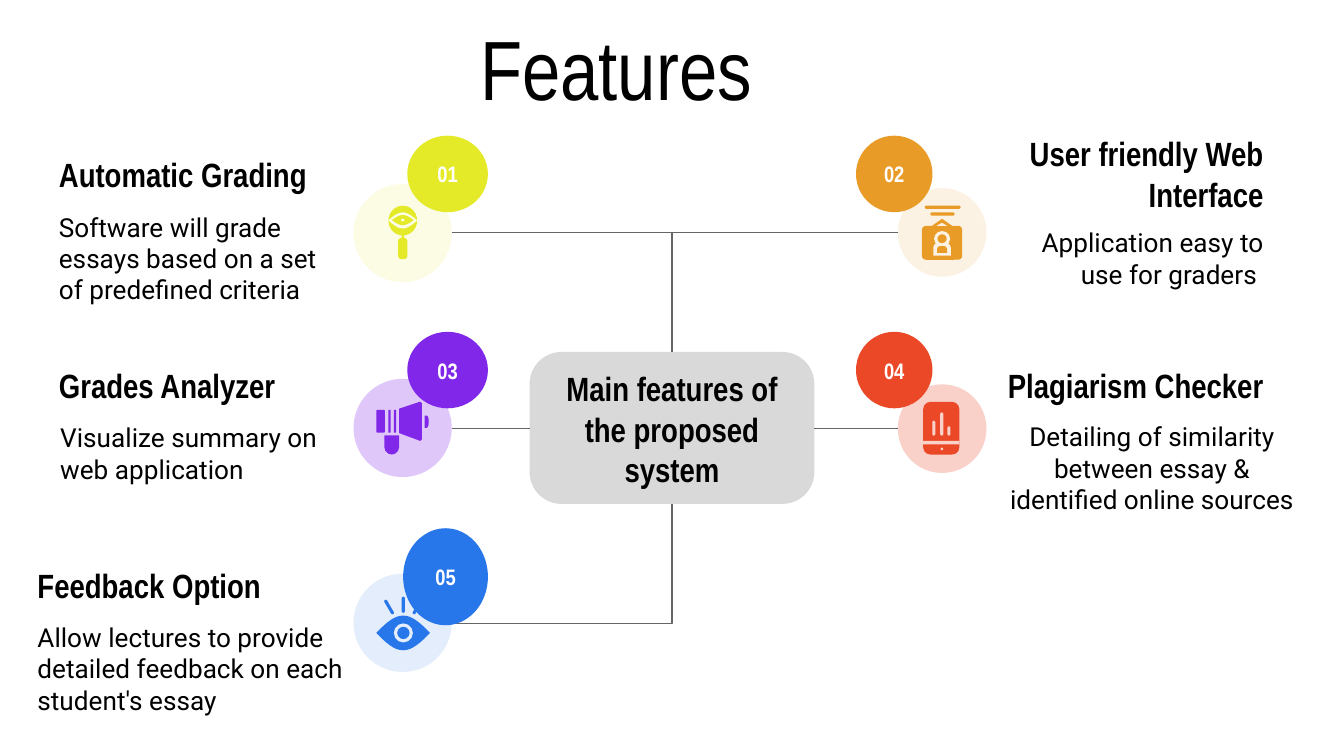
from dataclasses import dataclass
from math import pi, sin

from lxml.etree import SubElement
from pptx import Presentation
from pptx.dml.color import RGBColor
from pptx.enum.shapes import MSO_CONNECTOR, MSO_SHAPE
from pptx.enum.text import MSO_ANCHOR, MSO_AUTO_SIZE, PP_ALIGN
from pptx.oxml.ns import qn
from pptx.util import Pt

BLACK = RGBColor(0x00, 0x00, 0x00)
WHITE = RGBColor(0xFF, 0xFF, 0xFF)
GREY = RGBColor(0xD9, 0xD9, 0xD9)
RULE = RGBColor(0x66, 0x66, 0x66)
YELLOW = RGBColor(0xE4, 0xEA, 0x27)
ORANGE = RGBColor(0xE9, 0x9B, 0x27)
PURPLE = RGBColor(0x80, 0x27, 0xEA)
RED = RGBColor(0xEA, 0x48, 0x27)
BLUE = RGBColor(0x27, 0x76, 0xEA)

HEAD, BODY = "Arial Narrow", "Roboto"
LEFT, MID, RIGHT = PP_ALIGN.LEFT, PP_ALIGN.CENTER, PP_ALIGN.RIGHT
OVAL, RECT, ROUND = MSO_SHAPE.OVAL, MSO_SHAPE.RECTANGLE, MSO_SHAPE.ROUNDED_RECTANGLE
ARCH, PEAK = MSO_SHAPE.ROUND_2_SAME_RECTANGLE, MSO_SHAPE.ISOSCELES_TRIANGLE
FLARE = MSO_SHAPE.FLOWCHART_DELAY
Box = tuple[float, float, float, float]


@dataclass
class Part:
    """One piece of an icon; a pale piece takes the tint of the disc."""
    kind: MSO_SHAPE | str
    box: Box
    pale: bool = False
    turn: float = 0
    curve: float | None = None


@dataclass
class Feature:
    num: str
    head: str
    body: str
    color: RGBColor
    alpha: float
    disc: Box
    badge: Box
    head_box: Box
    body_box: Box
    head_side: PP_ALIGN
    body_side: PP_ALIGN
    icon: list[Part]


LENS = [
    Part(OVAL, (208.1, 110.2, 15.4, 16)),
    Part("almond", (208.1, 113.8, 15.4, 8.6), pale=True),
    Part("almond", (210, 115.2, 11.6, 5.4)),
    Part(OVAL, (214.9, 117.2, 1.8, 1.4), pale=True),
    Part(RECT, (215.1, 125.3, 1.4, 2.6)),
    Part(ROUND, (213.3, 127.4, 5, 11.5), curve=0.4),
]
PASS = [
    Part(ROUND, (493.9, 121, 21.6, 18.2), curve=0.12),
    Part(PEAK, (499, 117.2, 11.4, 4)),
    Part(PEAK, (501.8, 119.4, 5.6, 1.6), pale=True),
    Part(OVAL, (500.4, 123.8, 8.6, 8.2), pale=True),
    Part(ARCH, (500, 130, 9.4, 6.9), pale=True, curve=0.4),
    Part(OVAL, (502.2, 125.5, 5, 4.8)),
    Part(ARCH, (502, 131.8, 5.4, 3.6), curve=0.5),
    Part(ROUND, (495.4, 110.2, 19.2, 1.7), curve=0.5),
    Part(ROUND, (498.4, 113.8, 13, 1.7), curve=0.5),
]
HORN = [
    Part(ARCH, (205.9, 233.3, 7.9, 10.2), turn=180, curve=0.5),
    Part(FLARE, (227.5, 222.6, 2.2, 6.6)),
    Part(RECT, (211, 219.6, 1.2, 12.2)),
    Part(RECT, (208.1, 219.6, 1.2, 12.2)),
    Part(ROUND, (201.6, 219.6, 4.6, 12.2), curve=0.12),
    Part("cone", (213.8, 215.2, 12.3, 21)),
]
PHONE = [
    Part(ROUND, (494.6, 215.3, 19.4, 28.2), curve=0.2),
    Part(RECT, (494.6, 236.2, 19.4, 1.9), pale=True),
    Part(ROUND, (499.5, 225.4, 1.6, 8), pale=True, curve=0.5),
    Part(ROUND, (503.7, 221, 1.7, 12.4), pale=True, curve=0.5),
    Part(ROUND, (507.6, 228.4, 1.6, 5), pale=True, curve=0.5),
    Part(OVAL, (503.9, 239.8, 1.4, 1.4), pale=True),
]
EYE = [
    Part(ROUND, (207.6, 320.8, 1.7, 8.8), turn=-30, curve=0.5),
    Part(ROUND, (215.2, 319.7, 1.7, 8.6), curve=0.5),
    Part(ROUND, (222.8, 320.8, 1.7, 8.8), turn=30, curve=0.5),
    Part("almond", (201.6, 329.8, 28.8, 18.6)),
    Part(OVAL, (211, 334, 10.2, 10.2), pale=True),
    Part(OVAL, (212.8, 335.8, 6.6, 6.6)),
]

FEATURES = [
    Feature("01", "Automatic Grading",
            "Software will grade essays based on a set of predefined criteria",
            YELLOW, 0.13, (189.4, 98.6, 52.6, 52.6), (218.2, 72.7, 43.2, 41),
            (24.5, 80, 164, 26), (24.5, 125.3, 164, 26), LEFT, LEFT, LENS),
    Feature("02", "User friendly Web Interface",
            "Application easy to use for graders ",
            ORANGE, 0.13, (481, 100.8, 47.5, 47.5), (458.6, 72.7, 41, 41),
            (527.8, 80, 156.2, 26), (536, 125.3, 148, 26), RIGHT, RIGHT, PASS),
    Feature("03", "Grades Analyzer", "Visualize summary on web application",
            PURPLE, 0.25, (189.4, 203, 52.6, 52.6), (218.2, 177.8, 43.2, 41),
            (24.5, 193, 163.4, 26), (25.2, 229.7, 163.4, 26), LEFT, LEFT, HORN),
    Feature("04", "Plagiarism Checker",
            "Detailing of similarity between essay & identified online sources",
            RED, 0.25, (481, 205.9, 47.5, 47.5), (458.6, 177.8, 41, 41),
            (505.4, 193, 178.6, 26), (527.8, 226.8, 178.6, 47.5), RIGHT, MID, PHONE),
    Feature("05", "Feedback Option",
            "Allow lectures to provide detailed feedback on each student's essay",
            BLUE, 0.13, (189.4, 307.4, 52.6, 52.6), (216, 283, 45.4, 52),
            (13, 300.5, 172, 26), (13, 335, 210, 46), LEFT, LEFT, EYE),
]

deck = Presentation()
deck.slide_width, deck.slide_height = Pt(720), Pt(405)
slide = deck.slides.add_slide(deck.slide_layouts[5])
shapes = slide.shapes


def paint(shape, color: RGBColor) -> None:
    shape.shadow.inherit = False
    shape.fill.solid()
    shape.fill.fore_color.rgb = color
    shape.line.fill.background()


def draw(kind: MSO_SHAPE, box: Box, color: RGBColor):
    shape = shapes.add_shape(kind, *map(Pt, box))
    paint(shape, color)
    return shape


def write(shape, text: str, size: float, font: str, color: RGBColor = BLACK,
          side: PP_ALIGN = MID, bold: bool = False) -> None:
    frame = shape.text_frame
    frame.word_wrap, frame.auto_size = True, MSO_AUTO_SIZE.NONE
    frame.vertical_anchor = MSO_ANCHOR.MIDDLE
    frame.margin_left = frame.margin_right = Pt(7.2)
    frame.margin_top = frame.margin_bottom = Pt(7.2)
    para = frame.paragraphs[0]
    para.text, para.alignment = text, side
    para.font.size, para.font.name = Pt(size), font
    para.font.bold, para.font.color.rgb = bold, color


def label(box: Box, text: str, size: float, font: str, side: PP_ALIGN,
          bold: bool = False) -> None:
    write(shapes.add_textbox(*map(Pt, box)), text, size, font, side=side, bold=bold)


def trace(kind: str, box: Box):
    x, y, w, h = box
    if kind == "cone":
        rim = [(0, 0.18), (0.92, 0), (1, 0.04), (1, 0.96), (0.92, 1), (0, 0.8)]
    else:
        steps = [i / 16 for i in range(17)]
        rim = [(t, 0.5 - sin(pi * t) / 2) for t in steps]
        rim += [(t, 0.5 + sin(pi * t) / 2) for t in reversed(steps)]
    dots = [(Pt(x + a * w), Pt(y + b * h)) for a, b in rim]
    path = shapes.build_freeform(*dots[0])
    path.add_line_segments(dots[1:])
    return path.convert_to_shape()


def place(part: Part, color: RGBColor, tint: RGBColor) -> None:
    fill = tint if part.pale else color
    if isinstance(part.kind, str):
        paint(trace(part.kind, part.box), fill)
        return
    shape = draw(part.kind, part.box, fill)
    shape.rotation = part.turn
    if part.curve is not None:
        shape.adjustments[0] = part.curve


def link(start: tuple[float, float], end: tuple[float, float]) -> None:
    line = shapes.add_connector(MSO_CONNECTOR.ELBOW, *map(Pt, start + end))
    line.line.color.rgb, line.line.width = RULE, Pt(0.75)
    props = line._element.spPr
    if start[1] != end[1]:  # a single corner
        props.find(qn("a:prstGeom")).set("prst", "bentConnector2")
    SubElement(props, qn("a:effectLst"))


# Title
title = shapes.title
title.left, title.top, title.width, title.height = map(Pt, (42.5, 0, 575, 71.3))
write(title, "Features", 45, HEAD)

# Centre box
hub = draw(ROUND, (283.7, 188.6, 152.6, 81.4), GREY)
hub.adjustments[0] = 0.21
label((290.2, 205.9, 139.7, 47.5), "Main features of the proposed system",
      18, HEAD, MID, bold=True)

# Discs
for item in FEATURES:
    disc = draw(OVAL, item.disc, item.color)
    tone = disc._element.spPr.find(".//" + qn("a:srgbClr"))
    SubElement(tone, qn("a:alpha")).set("val", str(round(item.alpha * 100000)))

# Links from the discs to the centre box
for start, end in [
    ((242, 124.7), (360, 188.6)), ((481, 124.7), (360, 188.6)),
    ((242, 334), (360, 270)),
    ((283.7, 229.5), (242, 229.5)), ((436.3, 229.5), (481, 229.5)),
]:
    link(start, end)

# Icons, headings, texts and numbers
for item in FEATURES:
    tint = RGBColor(*(round(255 - (255 - c) * item.alpha) for c in item.color))
    for part in item.icon:
        place(part, item.color, tint)
    label(item.head_box, item.head, 18, HEAD, item.head_side, bold=True)
    label(item.body_box, item.body, 14, BODY, item.body_side)
    write(draw(OVAL, item.badge, item.color), item.num, 12, HEAD, WHITE, bold=True)

deck.save("out.pptx")
